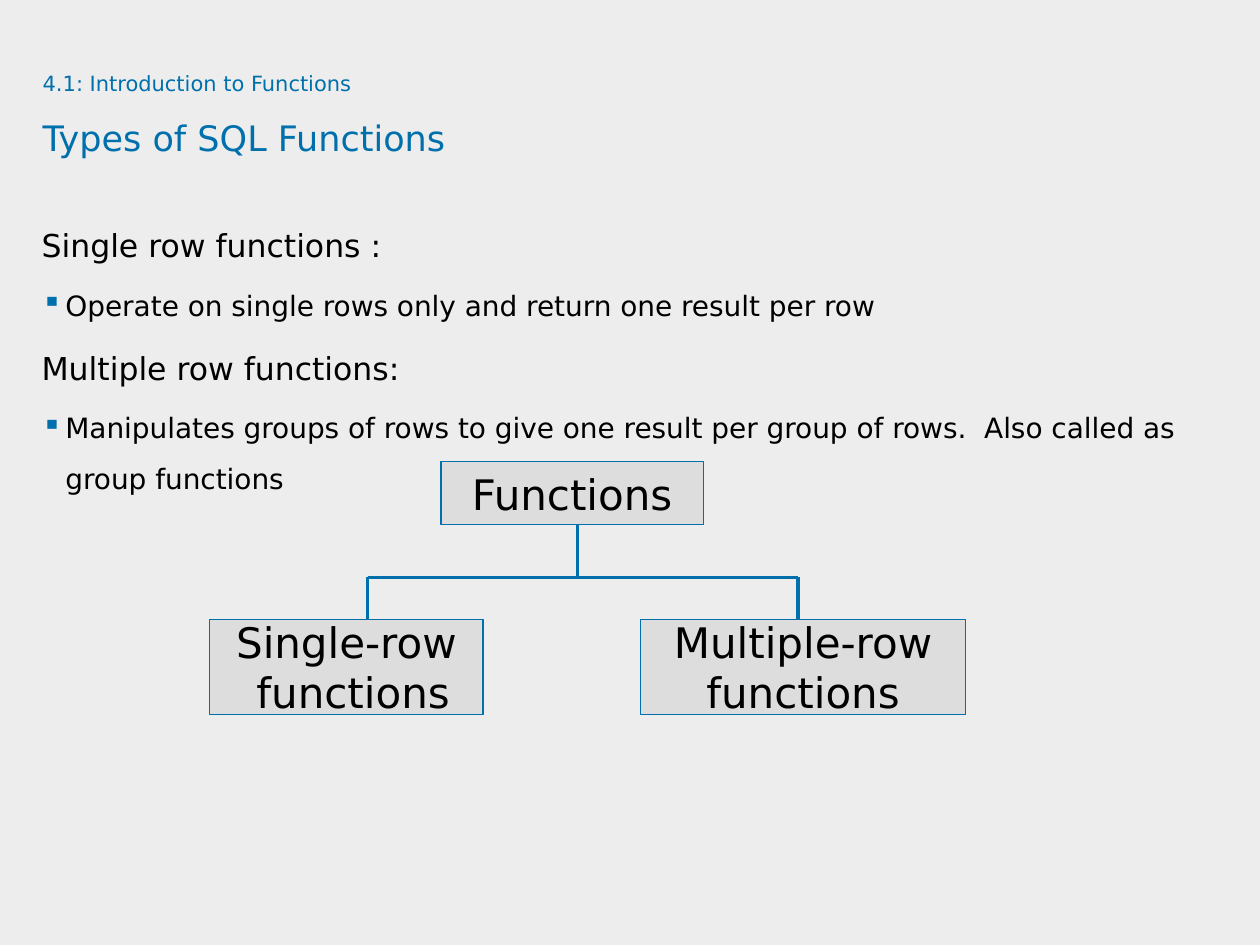
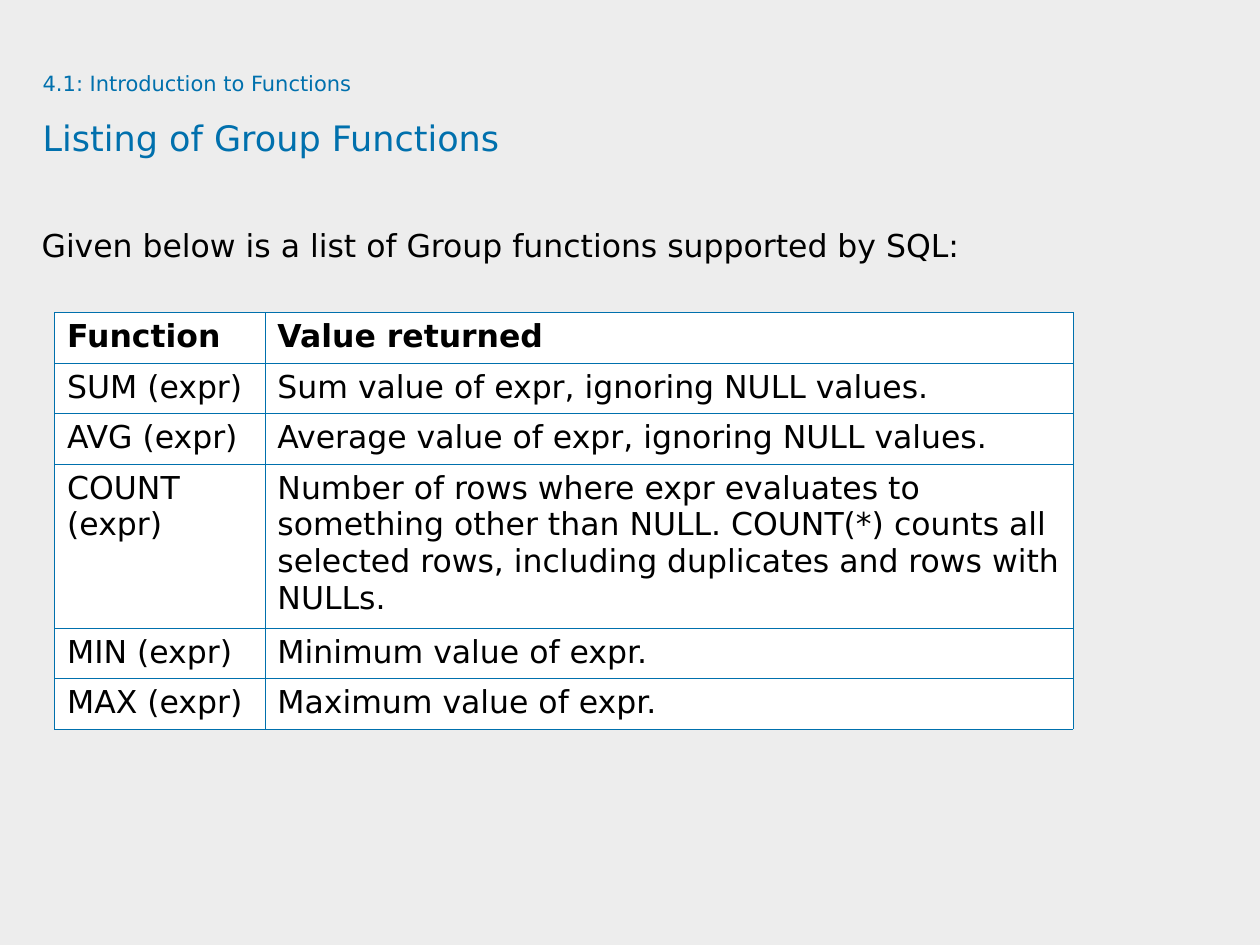
from dataclasses import dataclass

from lxml import etree
from pptx import Presentation
from pptx.dml.color import RGBColor
from pptx.enum.shapes import MSO_CONNECTOR, MSO_SHAPE
from pptx.enum.text import MSO_ANCHOR, PP_ALIGN
from pptx.oxml.ns import qn
from pptx.util import Cm, Pt

STRAIGHT = MSO_CONNECTOR.STRAIGHT
RECTANGLE = MSO_SHAPE.RECTANGLE
TOP, MIDDLE = MSO_ANCHOR.TOP, MSO_ANCHOR.MIDDLE
LEFT, CENTER = PP_ALIGN.LEFT, PP_ALIGN.CENTER
TITLE_ONLY = 5


@dataclass(frozen=True)
class Theme:
    font: str = "DejaVu Sans"
    accent: str = "0070AD"
    text: str = "000000"
    background: str = "EDEDED"
    box: str = "DDDDDD"
    cell: str = "FFFFFF"
    section_size: float = 12
    title_size: float = 20
    heading_size: float = 18
    bullet_size: float = 16
    box_size: float = 24
    table_size: float = 18


theme = Theme()
NO_MARGINS = dict.fromkeys(
    ("margin_left", "margin_top", "margin_right", "margin_bottom"), 0)
FRAME_FORMAT = {"word_wrap": True, "vertical_anchor": TOP, **NO_MARGINS}
BODY_FORMAT = {"line_spacing": 1.5, "space_after": Pt(4.5)}
SECTION = "4.1: Introduction to Functions"


def style_font(font, size, color=theme.text, bold=False):
    values = {"name": theme.font, "size": Pt(size), "bold": bold}
    for name, value in values.items():
        setattr(font, name, value)
    font.color.rgb = RGBColor.from_string(color)


def add_content_slide(title, body):
    """Add a slide with a two-line title and body lines of (level, text)."""
    slide = presentation.slides.add_slide(
        presentation.slide_layouts[TITLE_ONLY])

    # Section line and title
    shape = slide.shapes.title
    shape.left, shape.top = Cm(0.86), Cm(1.17)
    shape.width, shape.height = Cm(23.09), Cm(2.39)
    paragraph = shape.text_frame.paragraphs[0]
    paragraph.alignment, paragraph.line_spacing = LEFT, 1.5
    section_run = paragraph.add_run()
    section_run.text = SECTION
    style_font(section_run.font, theme.section_size, theme.accent)
    paragraph.add_line_break()
    title_run = paragraph.add_run()
    title_run.text = title
    style_font(title_run.font, theme.title_size, theme.accent)

    # Body text
    text_box = slide.shapes.add_textbox(Cm(0.84), Cm(4.17), Cm(24.56), Cm(12.9))
    for frame in (shape.text_frame, text_box.text_frame):
        for name, value in FRAME_FORMAT.items():
            setattr(frame, name, value)
    for index, (level, text) in enumerate(body):
        frame = text_box.text_frame
        paragraph = frame.add_paragraph() if index else frame.paragraphs[0]
        paragraph.text, paragraph.level = text, level
        for name, value in BODY_FORMAT.items():
            setattr(paragraph, name, value)
        if level:
            properties = paragraph._p.get_or_add_pPr()
            properties.set("marL", str(Cm(0.48)))
            properties.set("indent", str(-Cm(0.48)))
            bullet_color = etree.SubElement(properties, qn("a:buClr"))
            etree.SubElement(bullet_color, qn("a:srgbClr"), val=theme.accent)
            etree.SubElement(properties, qn("a:buChar"), char="▪")
        style_font(paragraph.font,
                   theme.bullet_size if level else theme.heading_size)
        style_font(paragraph.runs[0].font,
                   theme.bullet_size if level else theme.heading_size)
    return slide


# Presentation and shared background
presentation = Presentation()
presentation.slide_width, presentation.slide_height = Cm(25.4), Cm(19.05)
background = presentation.slide_master.background.fill
background.solid()
background.fore_color.rgb = RGBColor.from_string(theme.background)

# Slide 1: types of functions
types_slide = add_content_slide("Types of SQL Functions", [
    (0, "Single row functions :"),
    (1, "Operate on single rows only and return one result per row"),
    (0, "Multiple row functions:"),
    (1, "Manipulates groups of rows to give one result per group of rows.  "
        "Also called as group functions"),
])

# Boxes of the function tree: left, top, width, height, lines
function_boxes = [
    (8.89, 9.31, 5.29, 1.27, ["Functions"]),
    (4.23, 12.49, 5.51, 1.91, ["Single-row", " functions"]),
    (12.91, 12.49, 6.56, 1.91, ["Multiple-row", "functions"]),
]
for left, top, width, height, lines in function_boxes:
    box = types_slide.shapes.add_shape(
        RECTANGLE, Cm(left), Cm(top), Cm(width), Cm(height))
    box.shadow.inherit = False
    box.fill.solid()
    box.fill.fore_color.rgb = RGBColor.from_string(theme.box)
    box.line.color.rgb = RGBColor.from_string(theme.accent)
    box.line.width = Pt(0.75)
    frame = box.text_frame
    frame.word_wrap, frame.vertical_anchor = False, MIDDLE
    frame.text = "\n".join(lines)
    for paragraph in frame.paragraphs:
        paragraph.alignment = CENTER
        style_font(paragraph.runs[0].font, theme.box_size)

# Branches of the function tree
root_x, single_x, multiple_x = 11.64, 7.41, 16.09
root_bottom, branch_y, leaf_top = 10.58, 11.64, 12.49
branches = [
    (root_x, root_bottom, root_x, branch_y),
    (single_x, branch_y, multiple_x, branch_y),
    (single_x, branch_y, single_x, leaf_top),
    (multiple_x, branch_y, multiple_x, leaf_top),
]
for ends in branches:
    connector = types_slide.shapes.add_connector(
        STRAIGHT, *(Cm(end) for end in ends))
    connector.line.color.rgb = RGBColor.from_string(theme.accent)
    connector.line.width = Pt(2)
    etree.SubElement(connector._element.spPr, qn("a:effectLst"))

# Slide 2: group functions
listing_slide = add_content_slide("Listing of Group Functions", [
    (0, "Given below is a list of Group functions supported by SQL:"),
])
group_functions = [
    ("Function", "Value returned"),
    ("SUM (expr)", "Sum value of expr, ignoring NULL values."),
    ("AVG (expr)", "Average value of expr, ignoring NULL values."),
    ("COUNT (expr)", "Number of rows where expr evaluates to something other "
     "than NULL. COUNT(*) counts all selected rows, including duplicates and "
     "rows with NULLs."),
    ("MIN (expr)", "Minimum value of expr."),
    ("MAX (expr)", "Maximum value of expr."),
]
column_widths = [4.24, 16.29]
row_heights = [1.01, 1.01, 1.01, 3.31, 1.01, 1.01]
table = listing_slide.shapes.add_table(
    len(row_heights), len(column_widths), Cm(1.1), Cm(6.3),
    Cm(sum(column_widths)), Cm(sum(row_heights))).table
table.first_row = table.horz_banding = False
for column, width in zip(table.columns, column_widths):
    column.width = Cm(width)
for row, height in zip(table.rows, row_heights):
    row.height = Cm(height)

# Table cells with thin borders
for row_index, texts in enumerate(group_functions):
    for column_index, text in enumerate(texts):
        cell = table.cell(row_index, column_index)
        cell.text = text
        style_font(cell.text_frame.paragraphs[0].runs[0].font,
                   theme.table_size, bold=row_index == 0)
        properties = cell._tc.get_or_add_tcPr()
        for side in ("lnL", "lnR", "lnT", "lnB"):
            border = etree.SubElement(
                properties, qn(f"a:{side}"), w=str(Pt(0.45)))
            border_fill = etree.SubElement(border, qn("a:solidFill"))
            etree.SubElement(border_fill, qn("a:srgbClr"), val=theme.accent)
        cell.fill.solid()
        cell.fill.fore_color.rgb = RGBColor.from_string(theme.cell)

presentation.save("out.pptx")
